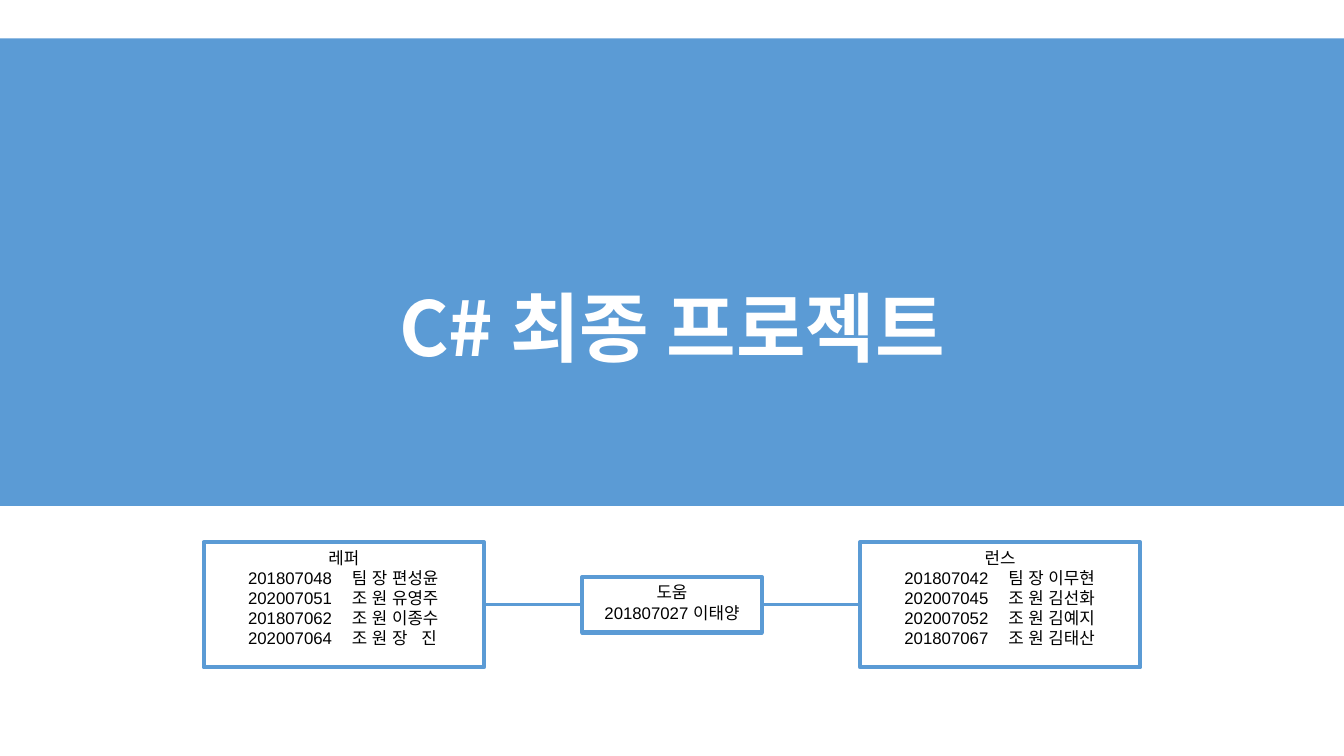
from dataclasses import dataclass

from lxml import etree
from pptx import Presentation
from pptx import util as u
from pptx.dml.color import RGBColor
from pptx.enum import shapes, text
from pptx.oxml.ns import qn


@dataclass(frozen=True)
class Theme:
    blue: RGBColor = RGBColor(0x5B, 0x9B, 0xD5)
    white: RGBColor = RGBColor(255, 255, 255)
    black: RGBColor = RGBColor(0, 0, 0)
    title_font: str = "Noto Sans CJK KR"
    body_font: str = "Arial"
    title_size: int = 54
    body_size: int = 12
    border: float = 3
    link: float = 2.25


THEME = Theme()
WIDTH, HEIGHT = 13.33, 7.5
MARGIN = 2.02
TEAM_W, TEAM_H, TEAM_TOP = 2.78, 1.24, 5.38
HELPER_W, HELPER_H = 1.78, 0.55
ROW_MIDDLE = TEAM_TOP + TEAM_H / 2
TEAM_INSET = 0.44
NAME_TABS = (1.03, 1.72)

LEPER = ("레퍼", ["201807048\t팀 장 편성윤", "202007051\t조 원 유영주",
                "201807062\t조 원 이종수", "202007064\t조 원 장\t진"])
RUNS = ("런스", ["201807042\t팀 장 이무현", "202007045\t조 원 김선화",
               "202007052\t조 원 김예지", "201807067\t조 원 김태산"])
HELPER = ("도움", ["201807027 이태양"])


def inches(box):
    return [u.Inches(v) for v in box]


def style(p, font, size, color, bold=False):
    for r in p.runs:
        r.font.name, r.font.size = font, u.Pt(size)
        r.font.bold, r.font.color.rgb = bold, color
        ea = etree.SubElement(r.font._element, qn("a:ea"))
        ea.set("typeface", font)


def add_tabs(p, stops):
    """Give the paragraph left tab stops, in inches from the text edge."""
    tabs = etree.SubElement(p._p.get_or_add_pPr(), qn("a:tabLst"))
    for stop in stops:
        etree.SubElement(tabs, qn("a:tab"), pos=str(u.Inches(stop)), algn="l")


def add_rect(s, box, fill):
    sp = s.shapes.add_shape(shapes.MSO_SHAPE.RECTANGLE, *inches(box))
    sp.shadow.inherit = False
    sp.fill.solid()
    sp.fill.fore_color.rgb = fill
    sp.line.fill.background()
    return sp


def add_banner(s, band_box, title_box):
    band = add_rect(s, band_box, THEME.blue)
    title = s.shapes.title
    band.element.addnext(title.element)
    title.left, title.top, title.width, title.height = inches(title_box)
    tf = title.text_frame
    tf.text = "C# 최종 프로젝트"
    tf.word_wrap, tf.auto_size = True, text.MSO_AUTO_SIZE.NONE
    tf.vertical_anchor = text.MSO_ANCHOR.BOTTOM
    p = tf.paragraphs[0]
    p.alignment, p.line_spacing = text.PP_ALIGN.CENTER, 0.9
    style(p, THEME.title_font, THEME.title_size, THEME.white, bold=True)


def add_group(s, box, group, inset=0.1):
    """Draw a bordered box with a centred name above its members."""
    name, members = group
    sp = add_rect(s, box, THEME.white)
    sp.line.color.rgb, sp.line.width = THEME.blue, u.Pt(THEME.border)
    tf = sp.text_frame
    tf.word_wrap, tf.vertical_anchor = True, text.MSO_ANCHOR.TOP
    tf.margin_left = tf.margin_right = u.Inches(inset)
    tf.text = "\n".join([name, *members])
    for p, line in zip(tf.paragraphs, [name, *members]):
        p.alignment = text.PP_ALIGN.CENTER
        if "\t" in line:
            p.alignment = text.PP_ALIGN.LEFT
            add_tabs(p, NAME_TABS)
        style(p, THEME.body_font, THEME.body_size, THEME.black)
    return sp


def add_link(s, left, right):
    y = u.Inches(ROW_MIDDLE)
    line = s.shapes.add_connector(shapes.MSO_CONNECTOR.STRAIGHT,
                                  left.left + left.width, y, right.left, y)
    line.line.color.rgb, line.line.width = THEME.blue, u.Pt(THEME.link)
    etree.SubElement(line._element.spPr, qn("a:effectLst"))


def add_members(s):
    runs, leper = (
        add_group(s, (x, TEAM_TOP, TEAM_W, TEAM_H), team, TEAM_INSET)
        for x, team in ((WIDTH - MARGIN - TEAM_W, RUNS), (MARGIN, LEPER)))
    helper = add_group(s, ((WIDTH - HELPER_W) / 2, ROW_MIDDLE - HELPER_H / 2,
                           HELPER_W, HELPER_H), HELPER)
    add_link(s, leper, helper)
    add_link(s, helper, runs)


def main():
    prs = Presentation()
    prs.slide_width, prs.slide_height = inches((WIDTH, HEIGHT))
    s = prs.slides.add_slide(prs.slide_layouts[5])
    add_banner(s, (0, 0.38, WIDTH, 4.64),
               (MARGIN, 1.51, WIDTH - 2 * MARGIN, 2.24))
    add_members(s)
    prs.save("out.pptx")


if __name__ == "__main__":
    main()
